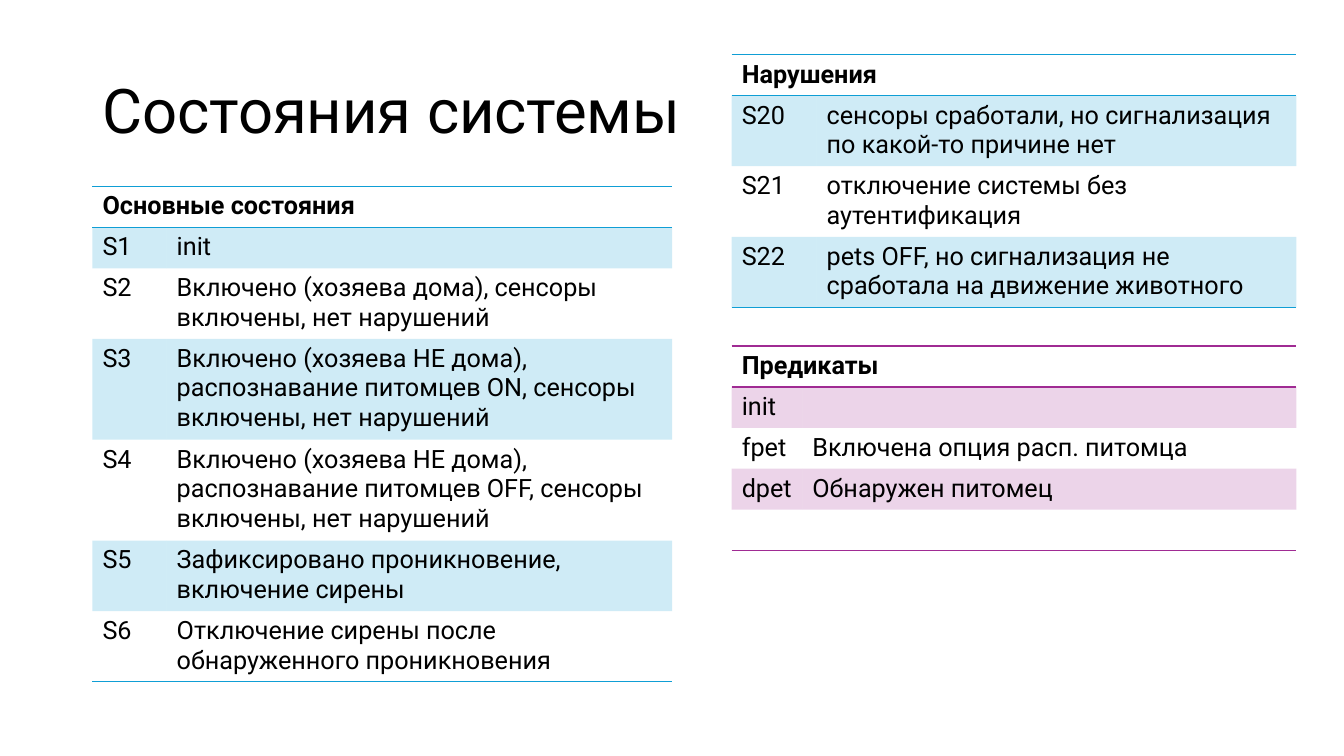
from dataclasses import dataclass

from lxml import etree
from pptx import Presentation
from pptx.dml.color import RGBColor
from pptx.enum.text import MSO_ANCHOR
from pptx.oxml.ns import qn
from pptx.slide import Slide
from pptx.table import _Cell
from pptx.text.text import TextFrame
from pptx.util import Cm, Pt

MIDDLE = MSO_ANCHOR.MIDDLE
PLAIN_STYLE = "{2D5ABB26-0587-4C30-8999-92F81FD0307C}"


@dataclass(frozen=True)
class Theme:
    """Colours, font and type sizes of the slide."""
    font: str = "Roboto"
    ink: str = "000000"
    blue: str = "0F9ED5"
    plum: str = "A02B93"
    title: int = 44
    body: int = 18
    rule: int = 1
    tint: int = 20


@dataclass(frozen=True)
class Block:
    """A headed two-column list; lengths in centimetres."""
    left: float
    top: float
    cols: tuple[float, float]
    hue: str
    head: str
    rows: tuple[tuple[str, str], ...]


THEME = Theme()
ROW = 1.03
RIGHT = 18.44

BLOCKS = (
    Block(2.33, 4.7, (1.87, 12.74), THEME.blue, "Основные состояния", (
        ("S1", "init"),
        ("S2", "Включено (хозяева дома), сенсоры включены, нет нарушений"),
        ("S3", "Включено (хозяева НЕ дома), распознавание питомцев ON, "
               "сенсоры включены, нет нарушений"),
        ("S4", "Включено (хозяева НЕ дома), распознавание питомцев OFF, "
               "сенсоры включены, нет нарушений"),
        ("S5", "Зафиксировано проникновение, включение сирены"),
        ("S6", "Отключение сирены после обнаруженного проникновения"),
    )),
    Block(RIGHT, 1.38, (2.14, 12.09), THEME.blue, "Нарушения", (
        ("S20", "сенсоры сработали, но сигнализация по какой-то причине нет"),
        ("S21", "отключение системы без аутентификация"),
        ("S22", "pets OFF, но сигнализация не сработала на движение животного"),
    )),
    Block(RIGHT, 8.72, (1.78, 12.45), THEME.plum, "Предикаты", (
        ("init", ""),
        ("fpet", "Включена опция расп. питомца"),
        ("dpet", "Обнаружен питомец"),
        ("", ""),
    )),
)


def write(frame: TextFrame, text: str, *, size: int = THEME.body,
          bold: bool = False, pitch: float = 1.0) -> None:
    """Put one formatted paragraph into a text frame."""
    para = frame.paragraphs[0]
    para.line_spacing = pitch
    para.font.size = Pt(size)
    if not text:
        return
    run = para.add_run()
    run.text = text
    font = run.font
    font.name = THEME.font
    font.size = Pt(size)
    font.bold = bold
    font.color.rgb = RGBColor.from_string(THEME.ink)


def edge(cell: _Cell, side: str, hue: str) -> None:
    """Rule one side of a cell, T or B; call before filling it."""
    props = cell._tc.get_or_add_tcPr()
    line = etree.SubElement(props, qn(f"a:ln{side}"), w=str(Pt(THEME.rule)))
    fill = etree.SubElement(line, qn("a:solidFill"))
    etree.SubElement(fill, qn("a:srgbClr"), val=hue)


def shade(cell: _Cell, hue: str) -> None:
    """Fill a cell with a see-through tint."""
    cell.fill.solid()
    cell.fill.fore_color.rgb = RGBColor.from_string(hue)
    tone = cell._tc.tcPr.find(qn("a:solidFill")).find(qn("a:srgbClr"))
    etree.SubElement(tone, qn("a:alpha"), val=str(THEME.tint * 1000))


def add_block(slide: Slide, block: Block) -> None:
    """Draw a block as a table with a merged head and banded rows."""
    lines = ((block.head, ""),) + block.rows
    count = len(lines)
    table = slide.shapes.add_table(
        count, 2, Cm(block.left), Cm(block.top),
        Cm(sum(block.cols)), Cm(ROW * count)).table
    table._tbl.tblPr.find(qn("a:tableStyleId")).text = PLAIN_STYLE
    table.first_row = table.horz_banding = False
    for col, width in zip(table.columns, block.cols):
        col.width = Cm(width)
    for index, (row, texts) in enumerate(zip(table.rows, lines)):
        row.height = Cm(ROW)
        for cell, text in zip(row.cells, texts):
            write(cell.text_frame, text, bold=index == 0)
            if index == 0:
                edge(cell, "T", block.hue)
            if index in (0, count - 1):
                edge(cell, "B", block.hue)
            if index % 2:
                shade(cell, block.hue)
            else:
                cell.fill.background()
    table.cell(0, 0).merge(table.cell(0, 1))


def add_title(slide: Slide, text: str) -> None:
    """Draw the slide heading."""
    box = slide.shapes.add_textbox(Cm(2.33), Cm(1.01), Cm(29.21), Cm(3.68))
    frame = box.text_frame
    frame.word_wrap = True
    frame.vertical_anchor = MIDDLE
    write(frame, text, size=THEME.title, pitch=0.9)


def main() -> None:
    """Build and save the deck."""
    deck = Presentation()
    deck.slide_width, deck.slide_height = Cm(33.87), Cm(19.05)
    slide = deck.slides.add_slide(deck.slide_layouts[6])
    add_title(slide, "Состояния системы")
    for block in BLOCKS:
        add_block(slide, block)
    deck.save("out.pptx")


main()
